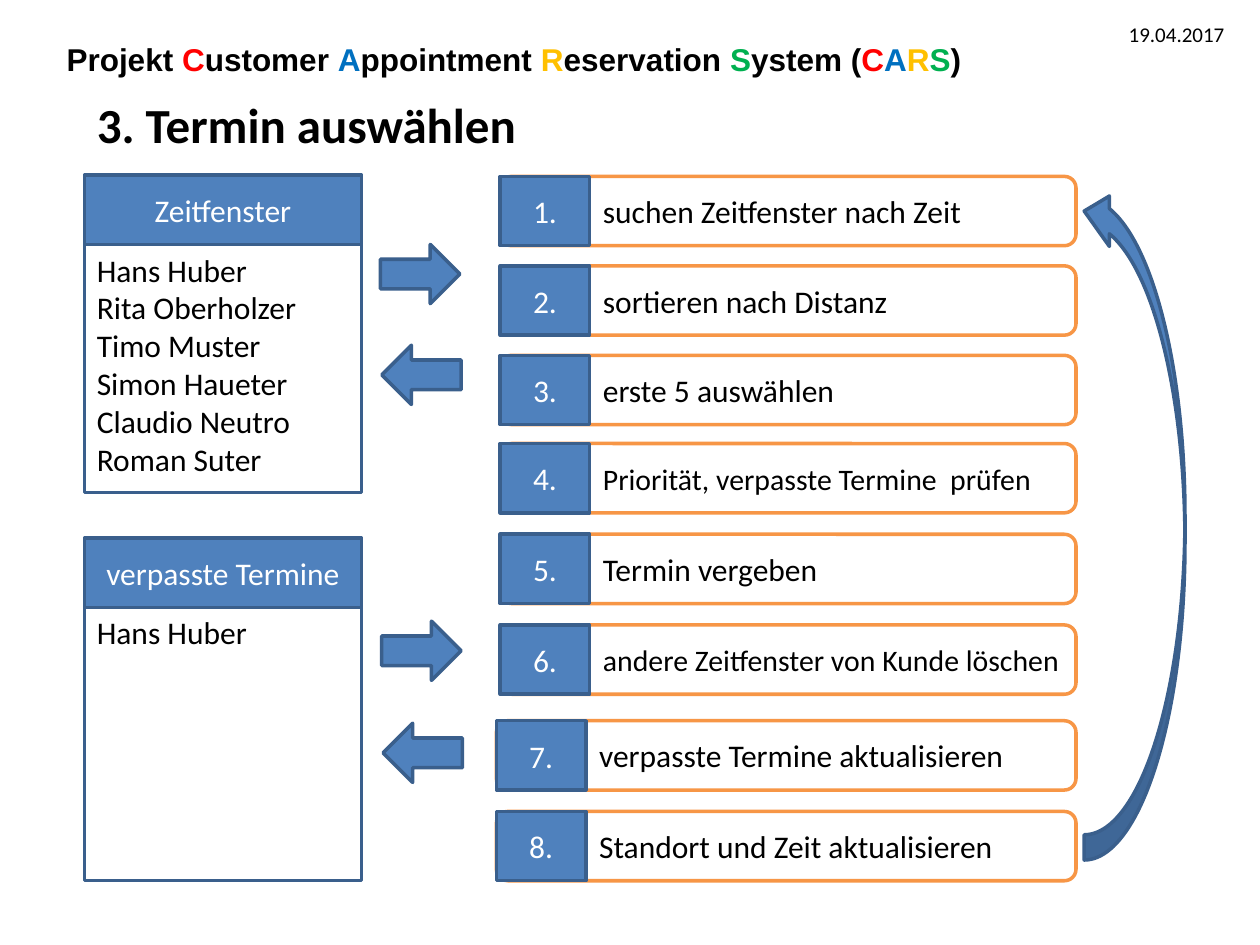
"""Builds the CARS slide on choosing an appointment."""
from pptx import Presentation
from pptx.dml.color import RGBColor
from pptx.enum import shapes, text
from pptx.util import Inches, Pt

COLORS = {"blue": "4F81BD", "edge": "3A5F8C", "orange": "F79646",
          "black": "000000", "white": "FFFFFF", "C": "FF0000",
          "A": "0070C0", "R": "FFC000", "S": "00B050"}
MSO = shapes.MSO_SHAPE
ALIGN = text.PP_ALIGN
ANCHOR = text.MSO_ANCHOR

prs = Presentation()
prs.slide_width, prs.slide_height = Inches(10), Inches(7.5)
s = prs.slides.add_slide(prs.slide_layouts[6])


def add_box(kind, box, fill=None, line="edge", rotation=0):
    sp = s.shapes.add_shape(kind, *[Inches(v) for v in box])
    sp.shadow.inherit = False
    sp.rotation = rotation
    if fill:
        sp.fill.solid()
        sp.fill.fore_color.rgb = RGBColor.from_string(COLORS[fill])
    else:
        sp.fill.background()
    sp.line.color.rgb = RGBColor.from_string(COLORS[line])
    sp.line.width = Pt(2)
    return sp


def write(sp, content, size=18, color="black", align=ALIGN.LEFT,
          anchor=ANCHOR.MIDDLE, indent=0, bold=False):
    tf = sp.text_frame
    tf.word_wrap = True
    tf.vertical_anchor = anchor
    tf.text = content
    for p in tf.paragraphs:
        p.alignment = align
        if indent:
            p._p.get_or_add_pPr().set("marL", str(Inches(indent)))
        for r in p.runs:
            r.font.name, r.font.size, r.font.bold = "Calibri", Pt(size), bold
            r.font.color.rgb = RGBColor.from_string(COLORS[color])


project = s.shapes.add_textbox(Inches(0.43), Inches(0.27), Inches(7.95), Inches(0.4))
project.text_frame.word_wrap = True
p = project.text_frame.paragraphs[0]
for part in ["Projekt ", "C", "ustomer ", "A", "ppointment ", "R", "eservation ",
             "S", "ystem (", "C", "A", "R", "S", ")"]:
    r = p.add_run()
    r.text = part
    r.font.name, r.font.size, r.font.bold = "Arial", Pt(18), True
    r.font.color.rgb = RGBColor.from_string(COLORS.get(part, COLORS["black"]))

for box, content, size, bold in [
        ((0.67, 0.7, 7.36, 0.57), "3. Termin auswählen", 28, True),
        ((8.86, 0.12, 1.02, 0.3), "19.04.2017", 12, False)]:
    sp = s.shapes.add_textbox(*[Inches(v) for v in box])
    write(sp, content, size, anchor=ANCHOR.TOP, bold=bold)

customers = ["Hans Huber", "Rita Oberholzer", "Timo Muster",
             "Simon Haueter", "Claudio Neutro", "Roman Suter"]
row_height = 0.55
for top, height, heading, names in [
        (1.39, 1.97, "Zeitfenster", customers),
        (4.27, 2.17, "verpasste Termine", customers[:1])]:
    head = add_box(MSO.RECTANGLE, (0.67, top, 2.2, row_height), "blue")
    write(head, heading, color="white", align=ALIGN.CENTER)
    body = add_box(MSO.RECTANGLE, (0.67, top + row_height, 2.2, height))
    write(body, "\n".join(names), anchor=ANCHOR.TOP)

steps = [(1.4, 18, "suchen Zeitfenster nach Zeit"),
         (2.11, 18, "sortieren nach Distanz"),
         (2.82, 18, "erste 5 auswählen"),
         (3.52, 17, "Priorität, verpasste Termine  prüfen"),
         (4.24, 18, "Termin vergeben"),
         (4.96, 17, "andere Zeitfenster von Kunde löschen"),
         (5.72, 18, "verpasste Termine aktualisieren"),
         (6.44, 18, "Standort und Zeit aktualisieren")]
for number, (top, size, content) in enumerate(steps, 1):
    left = 3.97 if number < 7 else 3.94
    step = add_box(MSO.ROUNDED_RECTANGLE, (left, top, 8.54 - left, row_height),
                   line="orange")
    write(step, content, size, indent=0.69)
    label = add_box(MSO.RECTANGLE, (left, top, 0.71, row_height), "blue")
    write(label, f"{number}.", color="white", align=ALIGN.CENTER)

add_box(MSO.CURVED_UP_ARROW, (6.33, 3.75, 5.35, 0.8), "blue", rotation=270)
for left, top, rotation in [(3.1, 1.86, 270), (3.11, 2.66, 90),
                            (3.11, 4.85, 270), (3.12, 5.66, 90)]:
    add_box(MSO.DOWN_ARROW, (left, top, 0.47, 0.63), "blue", rotation=rotation)

prs.save("out.pptx")
